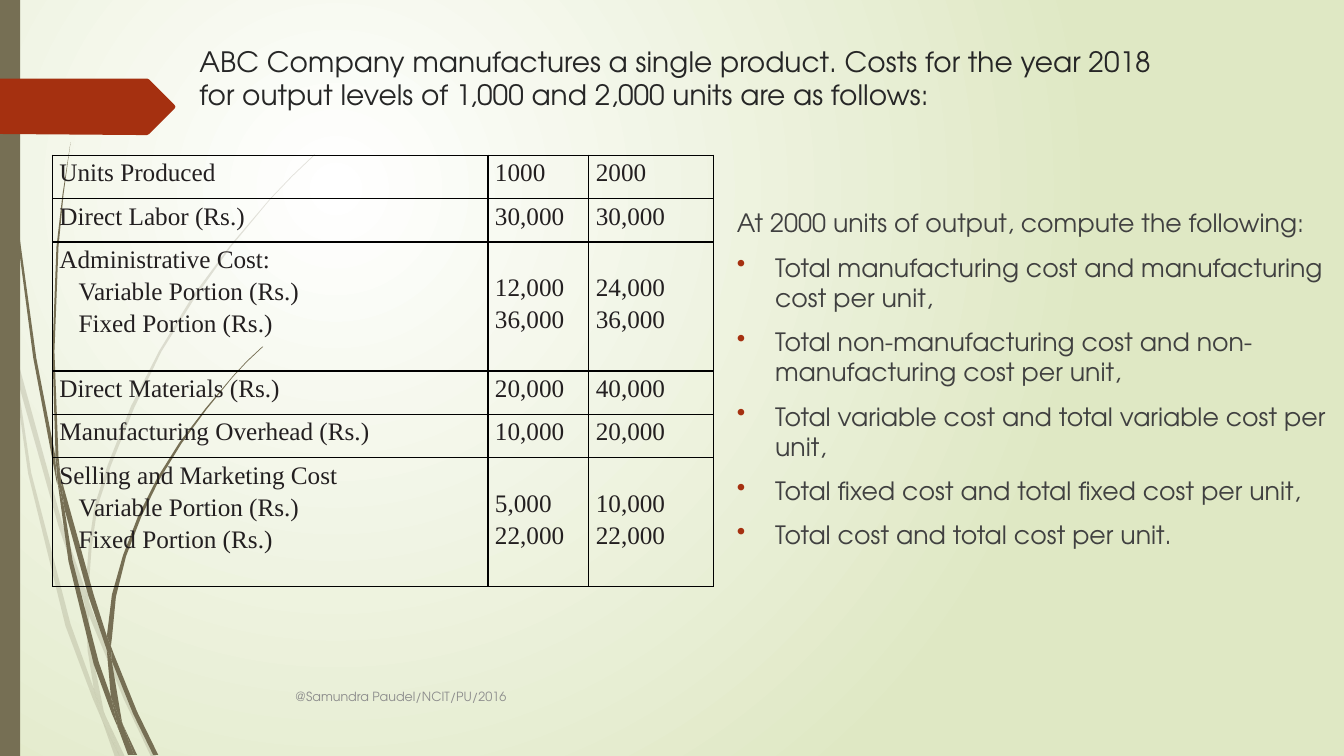
"""Build a slide with a cost table and a list of questions."""
from pptx import Presentation
from pptx.dml.color import RGBColor as RGB
from pptx.enum.shapes import MSO_SHAPE as SHAPE
from pptx.enum.text import MSO_ANCHOR as ANCHOR, PP_ALIGN as ALIGN
from pptx.oxml import parse_xml
from pptx.oxml.ns import nsdecls
from pptx.util import Inches, Pt

BARK = RGB(0x76, 0x6F, 0x54)
RUST = RGB(0xA5, 0x30, 0x10)
INK = RGB(0x26, 0x26, 0x26)
SLATE = RGB(0x40, 0x40, 0x40)
GREY = RGB(0x8C, 0x8C, 0x8C)
COAL = RGB(0x23, 0x1F, 0x20)
BLACK = RGB(0, 0, 0)
WHITE = RGB(0xFF, 0xFF, 0xFF)
SAGE = RGB(0xDF, 0xE8, 0xC4)
SANS, SERIF = "TeX Gyre Adventor", "Times New Roman"
UNIT = Inches(0.01)

PALE = [
    "11,350 9,322 0,282 0,299 10,344",
    "58,522 84,599 85,586 62,520 14,345 17,376",
    "92,607 88,596 88,610 123,694 150,751 155,751 127,692",
    "119,751 124,751 105,711",
    "93,683 70,619 31,469 17,376 11,350 28,470 65,621 92,693 101,714 99,707",
    "84,599 87,646 93,683 96,692 105,711 103,706 91,646 88,610 88,608",
    "88,584 91,542 97,502 110,462 133,405 160,349 193,296 229,245 268,198 290,175 312,154 "
    "312,153 289,175 268,197 228,244 191,294 158,348 130,403 107,461 94,501 88,542 85,584 "
    "85,586 88,596",
    "101,714 114,751 119,751",
    "88,608 88,610 88,596 85,586 84,599",
    "96,692 93,683 99,707 101,714 119,751 105,711",
]
DARK = [
    "7,110 17,233 33,355 56,477 57,481 55,457 55,453 36,355 19,232 8,109 5,48 4,0 3,0 4,48",
    "88,592 106,645 106,633 106,631 93,590 60,472 64,505",
    "113,649 110,641 111,656 132,708 152,749 157,749 136,706",
    "110,691 98,657 72,556 64,505 57,477 68,557 93,659 111,708 117,722 116,717",
    "60,472 58,453 54,349 58,245 63,193 70,141 62,193 56,245 52,349 55,449",
    "133,749 136,749 122,719",
    "57,477 64,505 60,472 55,449 55,453",
    "111,633 115,592 125,552 140,513 158,476 180,440 205,406 231,374 245,359 261,344 "
    "260,344 245,358 231,373 204,405 178,439 156,474 137,512 122,551 111,590 106,631 110,641",
    "117,722 127,749 131,749",
    "106,645 110,691 116,706 122,719 121,716 111,656 109,651",
    "106,645 109,651 111,656 110,641 106,631 106,633",
    "116,706 110,691 116,717 117,722 130,749 133,749 122,719",
]
ARROW = "173,30 148,55 146,56 136,56 0,55 0,0 136,0 146,0 148,1 173,26 174,28"

HEAD = ("ABC Company manufactures a single product. Costs for the year 2018 "
        "for output levels of 1,000 and 2,000 units are as follows:")
TASKS = [
    "At 2000 units of output, compute the following:",
    "Total manufacturing cost and manufacturing cost per unit,",
    "Total non-manufacturing cost and non-manufacturing cost per unit,",
    "Total variable cost and total variable cost per unit,",
    "Total fixed cost and total fixed cost per unit,",
    "Total cost and total cost per unit.",
]
PARTS = "\nVariable Portion (Rs.)\nFixed Portion (Rs.)"
COSTS = [
    ("Units Produced", "1000", "2000"),
    ("Direct Labor (Rs.)", "30,000", "30,000"),
    ("Administrative Cost:" + PARTS, "12,000\n36,000", "24,000\n36,000"),
    ("Direct Materials (Rs.)", "20,000", "40,000"),
    ("Manufacturing Overhead (Rs.)", "10,000", "20,000"),
    ("Selling and Marketing Cost" + PARTS, "5,000\n22,000", "10,000\n22,000"),
]


def style(para, face, size, tint):
    """Set the font of each run in a paragraph."""
    for run in para.runs:
        run.font.name, run.font.size = face, Pt(size)
        run.font.color.rgb = tint


def paint(shape, tint):
    """Give a shape a plain fill with no line or shadow."""
    shape.fill.solid()
    shape.fill.fore_color.rgb = tint
    shape.line.fill.background()
    shape.shadow.inherit = False


def trace(shapes, left, top, dots, tint):
    """Draw a closed outline from points in hundredths of an inch."""
    first, *rest = [tuple(map(int, dot.split(","))) for dot in dots.split()]
    pen = shapes.build_freeform(*first, scale=UNIT)
    pen.add_line_segments(rest, close=True)
    shape = pen.convert_to_shape(Inches(left), Inches(top))
    paint(shape, tint)
    return shape


def backdrop(slide):
    """Fill the slide with a round gradient."""
    slide.element.cSld.insert(0, parse_xml(
        f'<p:bg {nsdecls("p", "a")}><p:bgPr><a:gradFill rotWithShape="1"><a:gsLst>'
        f'<a:gs pos="0"><a:srgbClr val="{WHITE}"/></a:gs>'
        f'<a:gs pos="100000"><a:srgbClr val="{SAGE}"/></a:gs></a:gsLst>'
        '<a:path path="circle"><a:fillToRect l="50000" t="50000" r="100000" b="100000"/>'
        '</a:path></a:gradFill><a:effectLst/></p:bgPr></p:bg>'))


def grass(slide, left, top, blades, alpha=100):
    """Draw a group of blades of grass."""
    group = slide.shapes.add_group_shape()
    for dots in blades:
        blade = trace(group.shapes, left, top, dots, BARK)
        if alpha < 100:
            tint = blade.fill._xPr.solidFill[0]
            tint.append(parse_xml(f'<a:alpha {nsdecls("a")} val="{alpha * 1000}"/>'))


def edge(slide, left, top, width, height):
    """Draw the side bar and the arrow tag."""
    bar = slide.shapes.add_shape(SHAPE.RECTANGLE, *map(Inches, (left, top, width, height)))
    paint(bar, BARK)
    trace(slide.shapes, left, top + 0.78, ARROW, RUST)


def note(slide, left, top, width, height, text, size, tint):
    """Place a wrapped text box and return its frame."""
    box = slide.shapes.add_textbox(*map(Inches, (left, top, width, height)))
    frame = box.text_frame
    frame.word_wrap = True
    frame.text = text
    for para in frame.paragraphs:
        style(para, SANS, size, tint)
    return frame


def tasks(slide, left, top, width, height):
    """Place the lead line and its bullet list."""
    frame = note(slide, left, top, width, height, "\n".join(TASKS), 18, SLATE)
    frame.margin_top = Inches(0.49)
    for para in frame.paragraphs[1:]:
        para.space_before = Pt(10)
        props = para._p.get_or_add_pPr()
        props.set("marL", str(Inches(0.38)))
        props.set("indent", str(-Inches(0.38)))
        props.append(parse_xml(
            f'<a:buClr {nsdecls("a")}><a:srgbClr val="{RUST}"/></a:buClr>'))
        props.append(parse_xml(f'<a:buChar {nsdecls("a")} char="•"/>'))


def fill_cell(cell, text, drop):
    """Write one cell with black borders on all sides."""
    cell.text = text
    cell.fill.background()
    cell.margin_left = cell.margin_right = Inches(0.07)
    cell.margin_top, cell.margin_bottom = Inches(drop), 0
    for para in cell.text_frame.paragraphs:
        para.alignment, para.line_spacing = ALIGN.JUSTIFY, 1.15
        style(para, SERIF, 18, COAL)
        if "Portion" in para.text:
            para._p.get_or_add_pPr().set("marL", str(Inches(0.19)))
    for spot, side in enumerate("LRTB"):
        cell._tc.get_or_add_tcPr().insert(spot, parse_xml(
            f'<a:ln{side} {nsdecls("a")} w="{Pt(1)}"><a:solidFill>'
            f'<a:srgbClr val="{BLACK}"/></a:solidFill></a:ln{side}>'))


def costs(slide, left, top, width, height):
    """Place the cost table, with tall rows for split costs."""
    grid = slide.shapes.add_table(
        len(COSTS), 3, *map(Inches, (left, top, width, height))).table
    grid.first_row = grid.horz_banding = False
    for col, wide in zip(grid.columns, (width - 2.24, 1, 1.24)):
        col.width = Inches(wide)
    for y, row in enumerate(COSTS):
        split = "\n" in row[0]
        grid.rows[y].height = Inches(1.28 if split else 0.43)
        for x, text in enumerate(row):
            fill_cell(grid.cell(y, x), text, 0.28 if split and x else 0)


def main():
    """Build and save the slide."""
    deck = Presentation()
    deck.slide_width, deck.slide_height = Inches(13.33), Inches(7.5)
    slide = deck.slides.add_slide(deck.slide_layouts[6])
    backdrop(slide)
    grass(slide, 0, 0, PALE, 20)
    grass(slide, 0, 0, DARK)
    edge(slide, 0, 0, 0.2, 7.5)
    note(slide, 1.88, 0.39, 9.75, 1.4, HEAD, 20, INK)
    tasks(slide, 7.21, 1.57, 6.13, 4.13)
    foot = note(slide, 2.83, 6.71, 8.33, 0.4, "@Samundra Paudel/NCIT/PU/2016", 9, GREY)
    foot.vertical_anchor = ANCHOR.MIDDLE
    costs(slide, 0.52, 1.54, 6.56, 4.28)
    deck.save("out.pptx")


if __name__ == "__main__":
    main()
